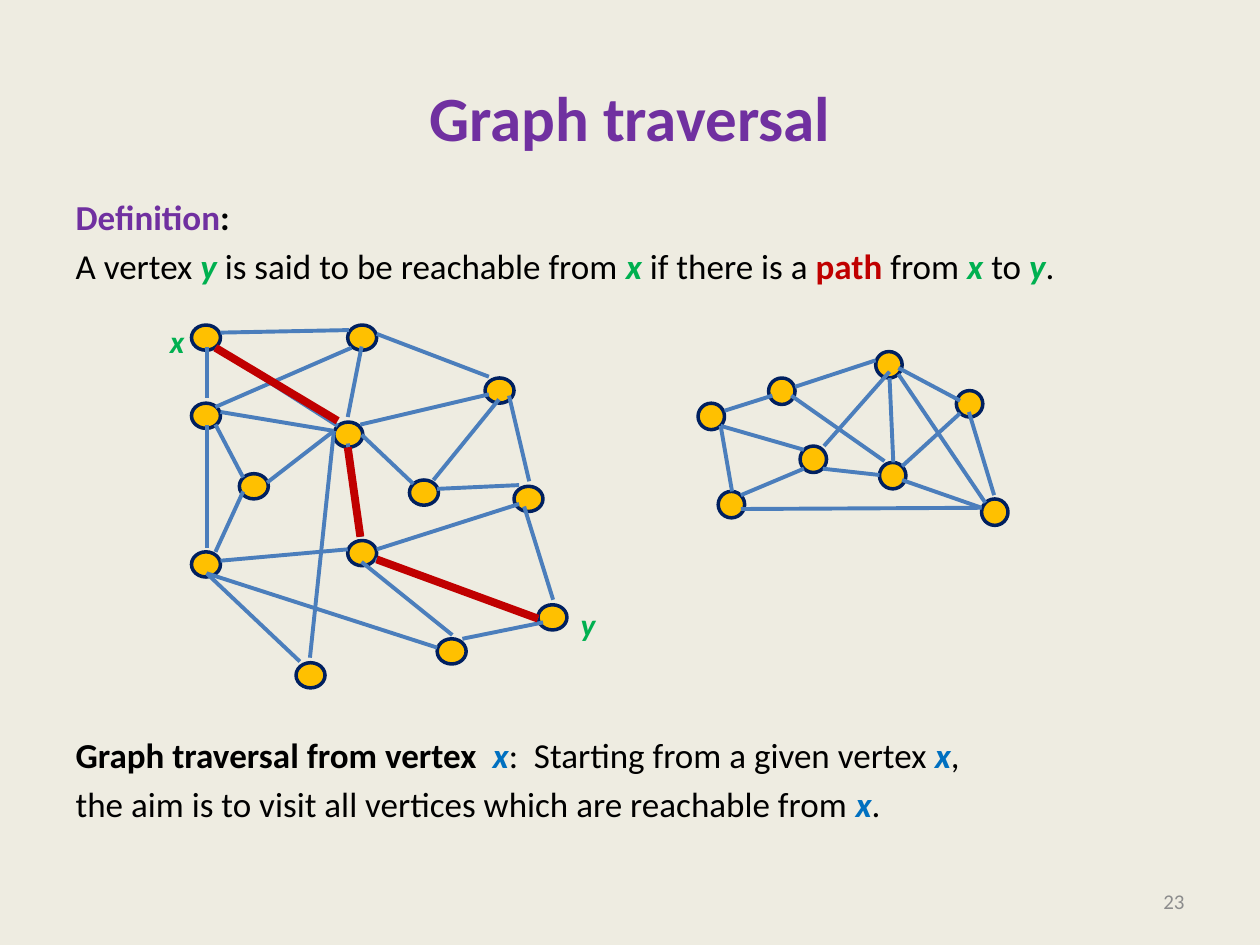
import pptx
import pptx.util
import pptx.dml.color
import pptx.enum.shapes
import pptx.enum.text
import pptx.oxml.ns
import lxml.etree

COLUMNS, ROWS = 1000, 750
FONT = "Calibri"
COLORS = {
    "background": "EEECE1", "heading": "7030A0", "text": "000000",
    "vertex": "00B050", "path": "C00000", "start": "0070C0",
    "number": "8C8C8C", "node": "FFC000", "outline": "002060", "edge": "4B7EBC",
}

MAIN_NODES = [
    (0, 0), (0, 62), (38, 118), (0, 180), (113, 77), (124, 171), (83, 268),
    (275, 222), (173, 123), (195, 249), (124, 0), (256, 128), (233, 42),
]
MAIN_EDGES = [
    (23, 187, 124, 178), (23, 69, 113, 84), (23, 6, 125, 4), (12, 17, 12, 58),
    (134, 79, 236, 55), (86, 267, 12, 197), (12, 79, 12, 177), (124, 94, 135, 168),
    (147, 7, 236, 41), (268, 124, 252, 56), (147, 178, 260, 142), (215, 249, 279, 236),
    (19, 79, 41, 121), (264, 144, 287, 218), (113, 84, 94, 264), (135, 188, 207, 246),
    (195, 130, 260, 127), (113, 84, 60, 125), (19, 180, 41, 132), (192, 123, 244, 59),
    (12, 197, 195, 256), (135, 17, 124, 73), (275, 233, 146, 186), (19, 18, 116, 80),
    (127, 18, 19, 65), (135, 87, 176, 126),
]
PATH_EDGES = [(19, 18, 116, 76), (134, 168, 124, 97), (275, 233, 147, 186)]
SIDE_NODES = [
    (0, 41), (56, 21), (16, 111), (81, 75), (144, 88), (205, 31), (225, 117), (141, 0),
]
SIDE_EDGES = [
    (21, 47, 59, 35), (77, 28, 141, 7), (159, 13, 208, 39), (74, 35, 148, 87),
    (152, 16, 100, 75), (235, 114, 215, 48), (225, 124, 162, 102), (225, 124, 34, 125),
    (34, 114, 84, 93), (18, 59, 84, 78), (18, 59, 27, 111), (144, 98, 99, 93),
    (208, 49, 162, 91), (155, 88, 152, 21), (159, 18, 228, 120),
]

deck = pptx.Presentation()
deck.slide_width = pptx.util.Inches(10)
deck.slide_height = pptx.util.Inches(7.5)


def across(columns):
    return round(deck.slide_width * columns / COLUMNS)


def down(rows):
    return round(deck.slide_height * rows / ROWS)


def color(name):
    return pptx.dml.color.RGBColor.from_string(COLORS[name])


def place(shape, box):
    left, top, width, height = box
    shape.left, shape.top = across(left), down(top)
    shape.width, shape.height = across(width), down(height)


def add_span(para, text, size, name="text", bold=False, italic=False):
    span = para.add_run()
    span.text = text
    span.font.name = FONT
    span.font.size = pptx.util.Pt(size)
    span.font.bold = bold
    span.font.italic = italic
    span.font.color.rgb = color(name)


def add_title(page, box):
    title = page.shapes.title
    place(title, box)
    title.text_frame.vertical_anchor = pptx.enum.text.MSO_ANCHOR.MIDDLE
    para = title.text_frame.paragraphs[0]
    para.alignment = pptx.enum.text.PP_ALIGN.CENTER
    add_span(para, "Graph traversal", 36, "heading", True)


def add_body(page, box):
    vertex = ("vertex", True, True)
    start = ("start", True, True)
    lines = [
        (0, [("Definition", "heading", True), (":", "text", True)]),
        (4, [("A vertex ",), ("y", *vertex), (" is said to be reachable from ",),
             ("x ", *vertex), ("if there is a ",), ("path", "path", True), (" from ",),
             ("x ", *vertex), ("to ",), ("y", *vertex), (".",)]),
        (255.6, [("Graph traversal from vertex  ", "text", True), ("x", *start),
                 (":  Starting from a given vertex ",), ("x", *start), (",",)]),
        (4, [("the aim is to visit all vertices which are reachable from ",),
             ("x", *start), (".",)]),
    ]
    body = page.placeholders[1]
    place(body, box)
    frame = body.text_frame
    frame.auto_size = pptx.enum.text.MSO_AUTO_SIZE.NONE
    for index, (gap, spans) in enumerate(lines):
        para = frame.add_paragraph() if index else frame.paragraphs[0]
        para.space_before = pptx.util.Pt(gap)
        properties = para._p.get_or_add_pPr()
        properties.set("marL", "0")
        properties.set("indent", "0")
        lxml.etree.SubElement(properties, pptx.oxml.ns.qn("a:buNone"))
        for text, *style in spans:
            add_span(para, text, 20, *style)


def add_label(page, box, text, size, name, strong=False, right=False):
    label = page.shapes.add_textbox(0, 0, 0, 0)
    place(label, box)
    label.text_frame.word_wrap = right
    label.text_frame.vertical_anchor = (
        pptx.enum.text.MSO_ANCHOR.MIDDLE if right else pptx.enum.text.MSO_ANCHOR.TOP)
    para = label.text_frame.paragraphs[0]
    para.alignment = pptx.enum.text.PP_ALIGN.RIGHT if right else pptx.enum.text.PP_ALIGN.LEFT
    add_span(para, text, size, name, strong, strong)


def add_graph(page, origin, nodes, node_size, edges, name="edge", weight=2.25):
    left, top = origin
    group = page.shapes.add_group_shape()
    for column, row in nodes:
        node = group.shapes.add_shape(pptx.enum.shapes.MSO_SHAPE.OVAL, 0, 0, 1, 1)
        place(node, (left + column, top + row, *node_size))
        node.shadow.inherit = False
        node.fill.solid()
        node.fill.fore_color.rgb = color("node")
        node.line.color.rgb = color("outline")
        node.line.width = pptx.util.Pt(2)
    for x1, y1, x2, y2 in edges:
        edge = group.shapes.add_connector(
            pptx.enum.shapes.MSO_CONNECTOR.STRAIGHT,
            across(left + x1), down(top + y1), across(left + x2), down(top + y2))
        edge.line.color.rgb = color(name)
        edge.line.width = pptx.util.Pt(weight)
        lxml.etree.SubElement(edge._element.spPr, pptx.oxml.ns.qn("a:effectLst"))


def build_traversal_page():
    page = deck.slides.add_slide(deck.slide_layouts[1])
    page.background.fill.solid()
    page.background.fill.fore_color.rgb = color("background")
    add_title(page, (50, 30, 900, 125))
    add_body(page, (50, 150, 900, 520))
    add_label(page, (717, 695, 233, 40), "23", 12, "number", right=True)
    main_origin = (152, 258)
    add_graph(page, main_origin, MAIN_NODES, (23, 20), MAIN_EDGES)
    add_graph(page, (554, 279), SIDE_NODES, (21, 21), SIDE_EDGES)
    add_label(page, (125, 251, 32, 40), "x", 18, "vertex", strong=True)
    add_label(page, (451, 475, 32, 40), "y", 18, "vertex", strong=True)
    add_graph(page, main_origin, [], (23, 20), PATH_EDGES, "path", 4.5)


build_traversal_page()
deck.save("out.pptx")
